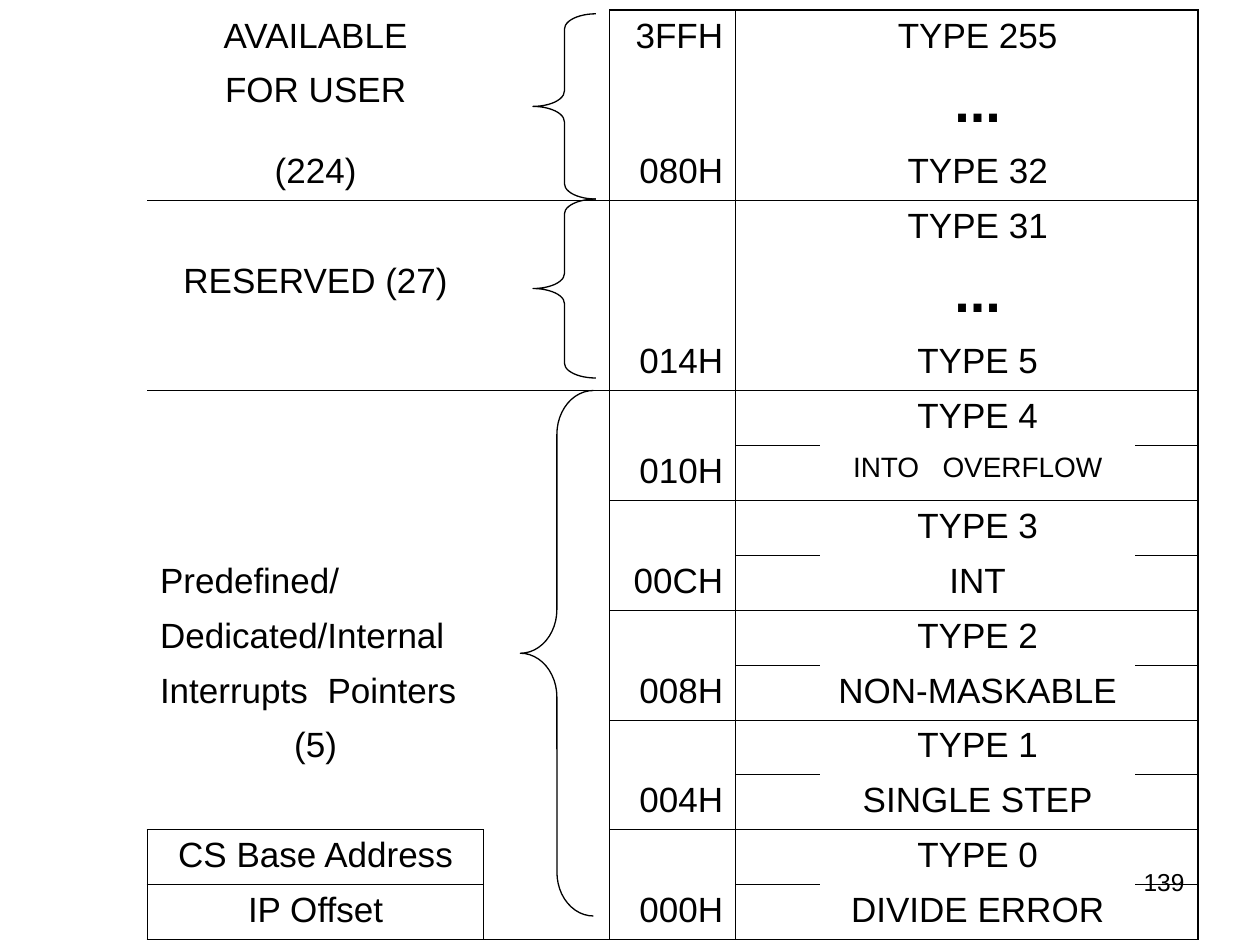
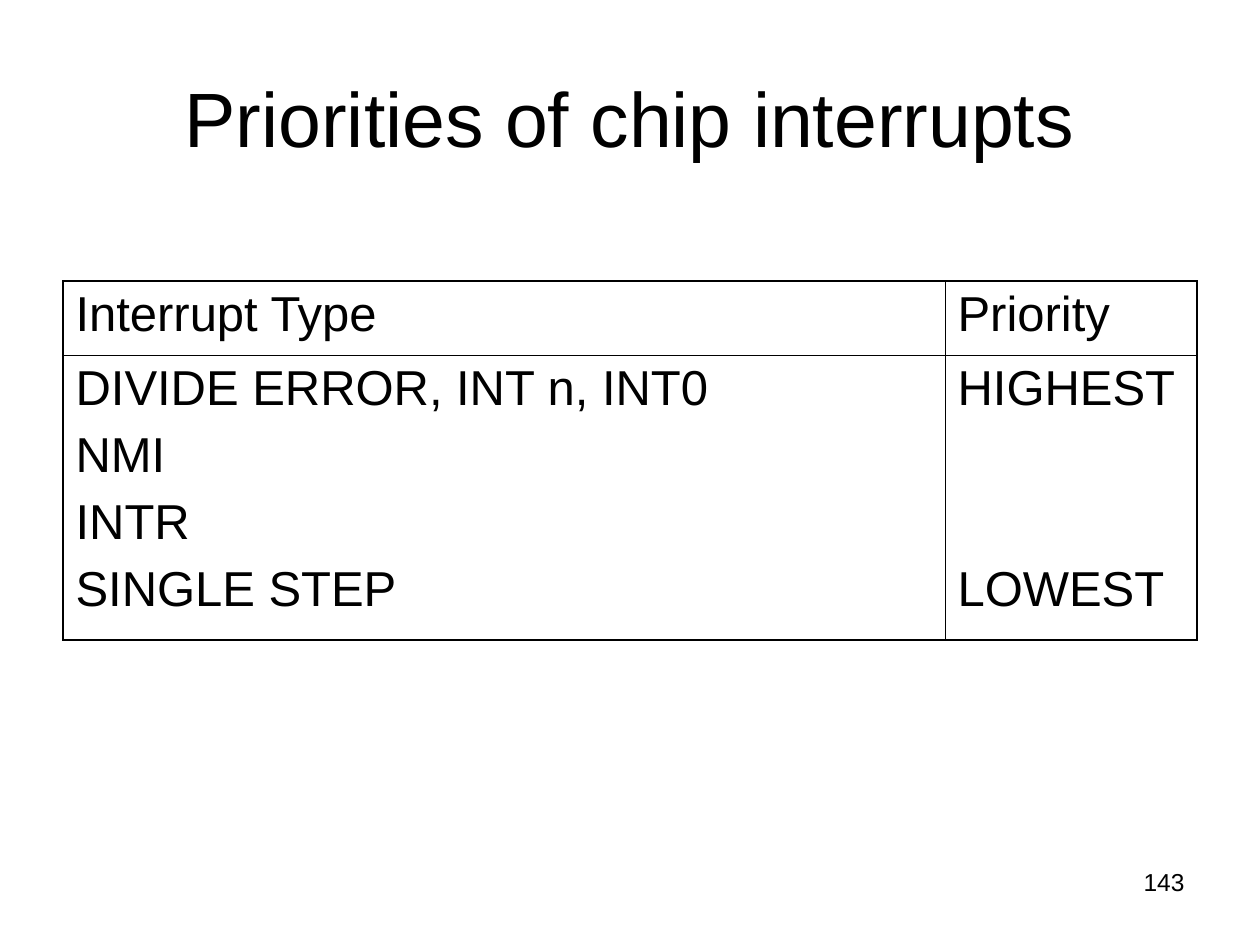
from collections import defaultdict

from lxml.etree import SubElement as Sub
from pptx import Presentation
from pptx.dml.color import RGBColor as Color
from pptx.enum.shapes import MSO_SHAPE as Shape
from pptx.enum.text import MSO_ANCHOR as Anchor, PP_ALIGN as Align
from pptx.oxml.ns import qn
from pptx.util import Inches, Pt

COLORS = {"ink": "000000"}
FONT = "Arial"
THIN, THICK = 0.45, 1.08
NO_STYLE = "{2D5ABB26-0587-4C30-8999-92F81FD0307C}"
# Each side of a cell, with its neighbour and the side that faces back
SIDES = {"L": (0, -1, "R"), "R": (0, 1, "L"), "T": (-1, 0, "B"), "B": (1, 0, "T")}


class Deck:
    """Holds the style and the current slide."""

    def __init__(self):
        self.prs = Presentation()
        self.prs.slide_width, self.prs.slide_height = Inches(10), Inches(7.5)

    def new(self):
        self.slide = self.prs.slides.add_slide(self.prs.slide_layouts[6])

    def style(self, para, size, align=Align.LEFT, bold=False):
        para.alignment = align
        for run in para.runs:
            font = run.font
            font.name, font.size, font.bold = FONT, Pt(size), bold
            font.color.rgb = Color.from_string(COLORS["ink"])

    def text(self, words, box, size, align, anchor=Anchor.TOP):
        frame = self.slide.shapes.add_textbox(*map(Inches, box)).text_frame
        frame.word_wrap = True
        frame.vertical_anchor = anchor
        frame.text = words
        self.style(frame.paragraphs[0], size, align)

    def title(self, words):
        self.text(words, (0.5, 0.3, 9, 1.25), 44, Align.CENTER, Anchor.MIDDLE)

    def number(self, num):
        self.text(str(num), (7.17, 6.83, 2.33, 0.52), 14, Align.RIGHT)

    def brace(self, left, top, width, height):
        shape = self.slide.shapes.add_shape(
            Shape.LEFT_BRACE, *map(Inches, (left, top, width, height)))
        shape.shadow.inherit = False
        shape.adjustments[0] = height / 12 / width
        shape.fill.background()
        shape.line.color.rgb = Color.from_string(COLORS["ink"])
        shape.line.width = Pt(0.75)

    def table(self, left, top, cols, rows):
        frame = self.slide.shapes.add_table(
            len(rows), len(cols),
            *map(Inches, (left, top, sum(cols), sum(rows))))
        table = frame.table
        table.first_row = table.horz_banding = False
        table._tbl.tblPr.find(qn("a:tableStyleId")).text = NO_STYLE
        for col, width in zip(table.columns, cols):
            col.width = Inches(width)
        for row, height in zip(table.rows, rows):
            row.height = Inches(height)
        return table

    def cell(self, table, row, col, words, size, align=Align.LEFT, bold=False):
        frame = table.cell(row, col).text_frame
        frame.text = words
        for para in frame.paragraphs:
            self.style(para, size, align, bold)
        for para in frame.paragraphs[1:]:
            para.space_before = Pt(size / 4)
        return frame.paragraphs

    def widen(self, para, extra):
        """Widen the gap between the two words of a paragraph, in points."""
        first, last = para.text.split(" ")
        size, align = para.runs[0].font.size.pt, para.alignment
        para.runs[0].text = first
        gap = para.add_run()
        gap.text = " "
        para.add_run().text = last
        self.style(para, size, align)
        gap.font._element.set("spc", str(int(extra * 100)))

    def rule(self, table, edges):
        """Draw edges given as (rows, columns, side, width), and no others."""
        lines = defaultdict(dict)
        for rows, cols, side, width in edges:
            down, across, back = SIDES[side]
            for row in rows:
                for col in cols:
                    lines[row, col][side] = width
                    lines[row + down, col + across][back] = width
        for row in range(len(table.rows)):
            for col in range(len(table.columns)):
                cell = table.cell(row, col)
                props = cell._tc.get_or_add_tcPr()
                for side in SIDES:
                    width = lines[row, col].get(side, 0)
                    line = Sub(props, qn("a:ln" + side), w=str(Pt(width)))
                    if width:
                        fill = Sub(line, qn("a:solidFill"))
                        Sub(fill, qn("a:srgbClr"), val=COLORS["ink"])
                    else:
                        Sub(line, qn("a:noFill"))
                cell.fill.background()


def vectors(deck):
    deck.new()
    # Memory map: two tall rows, the others share the rest equally
    tall, count = (1, 4), 16
    low = (7.38 - 0.64 * len(tall)) / (count - len(tall))
    rows = [0.64 if row in tall else low for row in range(count)]
    table = deck.table(1.17, 0.08, [2.67, 1, 1, 0.67, 2.5, 0.5], rows)

    # Areas on the left
    areas = {0: "AVAILABLE", 1: "FOR USER", 2: "(224)", 4: "RESERVED (27)",
             9: "Predefined/", 10: "Dedicated/Internal",
             11: "Interrupts Pointers", 12: "(5)",
             14: "CS Base Address", 15: "IP Offset"}
    for row, words in areas.items():
        align = Align.LEFT if row in (9, 10, 11) else Align.CENTER
        paras = deck.cell(table, row, 0, words, 20, align)
        if row == 11:
            deck.widen(paras[0], 5.56)

    # Addresses: one vector of four bytes for each two rows, from the bottom
    places = {0: "3FFH", 2: "080H"}
    places.update({15 - 2 * n: f"{4 * n:03X}H" for n in range(6)})
    for row, words in places.items():
        deck.cell(table, row, 2, words, 20, Align.RIGHT)

    # Types
    types = ["TYPE 255", "...", "TYPE 32", "TYPE 31", "...", "TYPE 5"]
    names = ["INTO OVERFLOW", "INT", "NON-MASKABLE", "SINGLE STEP",
             "DIVIDE ERROR"]
    for num, name in zip(range(4, -1, -1), names):
        types += [f"TYPE {num}", name]
    for row, words in enumerate(types):
        dots, into = words == "...", words == names[0]
        size = 32 if dots else 16 if into else 20
        paras = deck.cell(table, row, 4, words, size, Align.CENTER, dots)
        if into:
            deck.widen(paras[0], 8.9)

    # Borders
    every, wide = range(count), range(6)
    deck.rule(table, [
        (every, (1, 2), "R", THIN),
        (every, (5,), "R", THICK),
        ((0,), range(2, 6), "T", THICK),
        ((2, 5), wide, "B", THIN),
        (range(7, 15, 2), range(2, 6), "B", THIN),
        (range(6, 15, 2), (3, 5), "B", THIN),
        ((13, 14), (0,), "B", THIN),
        ((14, 15), (0,), "R", THIN),
        ((14, 15), (0,), "L", THICK),
        ((15,), wide, "B", THICK),
    ])

    # Braces
    deck.brace(4.13, 3.1, 0.58, 4.17)
    deck.brace(4.23, 1.58, 0.5, 1.42)
    deck.brace(4.23, 0.11, 0.5, 1.47)
    deck.number(139)


def ranks(deck):
    deck.new()
    deck.title("Priorities of chip interrupts")
    table = deck.table(0.5, 2.23, [7, 2], [0.59, 2.26])
    kinds = ["DIVIDE ERROR, INT n, INT0", "NMI", "INTR", "SINGLE STEP"]
    grid = [["Interrupt Type", "Priority"],
            ["\n".join(kinds), "HIGHEST\nLOWEST"]]
    for row, line in enumerate(grid):
        for col, words in enumerate(line):
            paras = deck.cell(table, row, col, words, 28)
    # The lowest rank stands level with the last kind
    paras[-1].space_before = Pt(83.6)
    both = range(2)
    deck.rule(table, [
        (both, (0,), "L", THICK), (both, (1,), "R", THICK),
        ((0,), both, "T", THICK), ((1,), both, "B", THICK),
        (both, (0,), "R", THIN), ((0,), both, "B", THIN),
    ])
    deck.number(143)


def main():
    deck = Deck()
    vectors(deck)
    ranks(deck)
    deck.prs.save("out.pptx")


if __name__ == "__main__":
    main()
